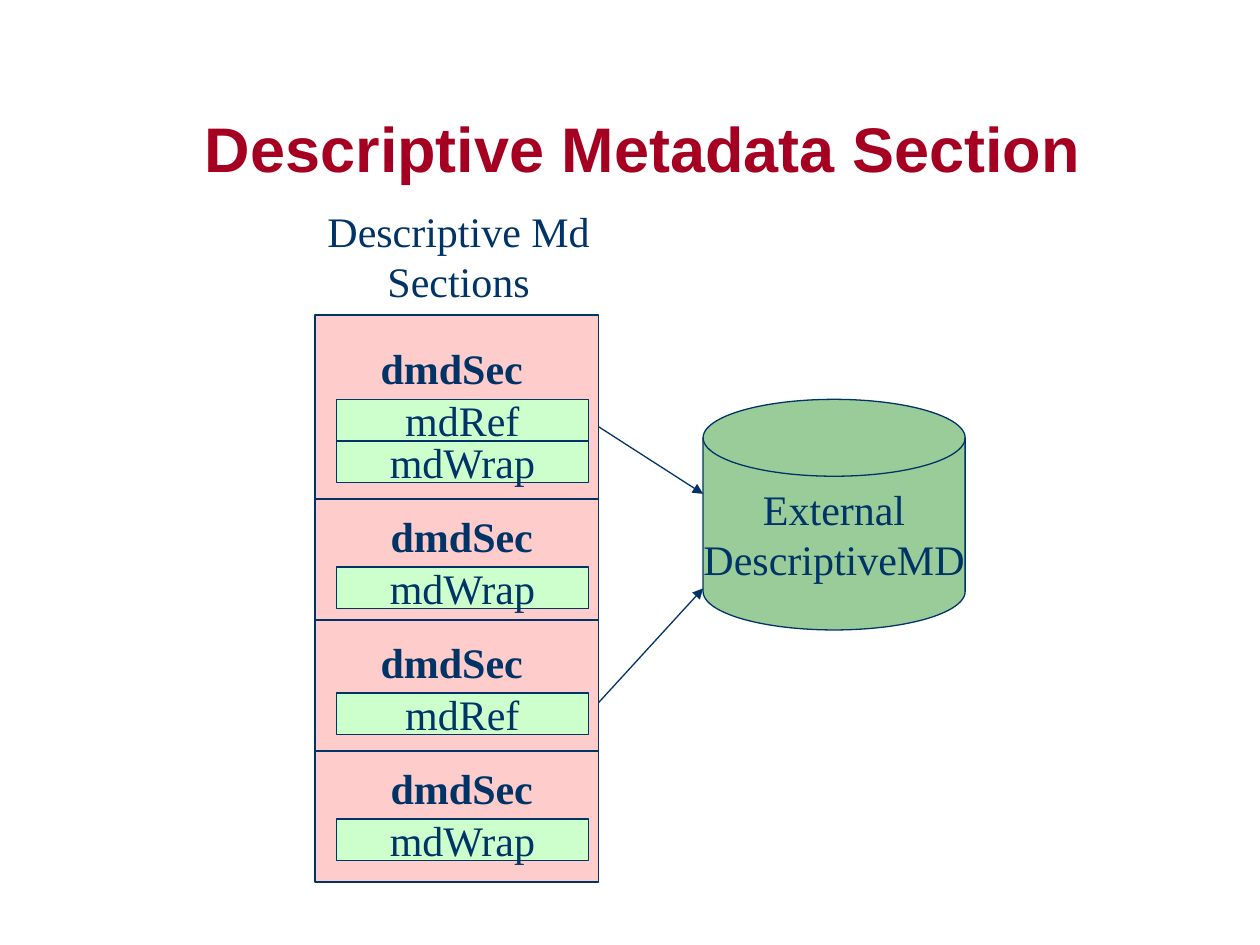
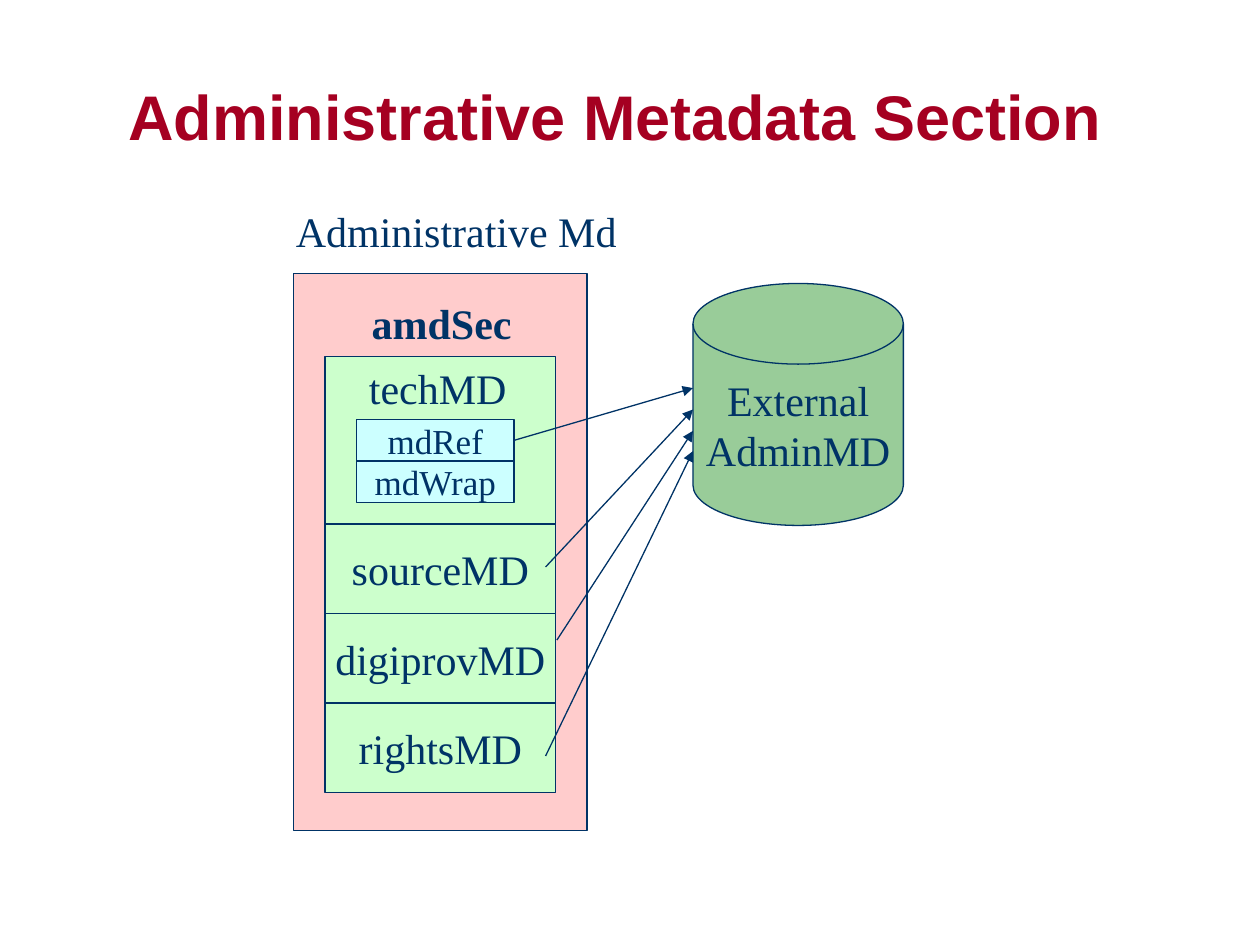
from dataclasses import dataclass

import pptx
import pptx.dml.color
import pptx.enum.shapes
import pptx.enum.text
import pptx.oxml
import pptx.oxml.ns
import pptx.util
from pptx.util import Inches

NAVY = "003366"
CRIMSON = "A50021"
PINK = "FFCCCC"
MINT = "CCFFCC"
AQUA = "CCFFFF"
GREEN = "99CC99"
SERIF = "Times New Roman"
SANS = "Arial"
LINE_WIDTH = 0.75
ENTRY_HEIGHT = 0.33

ALIGN = pptx.enum.text.PP_ALIGN
ANCHOR = pptx.enum.text.MSO_ANCHOR
SHAPE = pptx.enum.shapes.MSO_SHAPE
RIGHT_SIDE = 3


@dataclass
class Box:
    left: float
    top: float
    width: float
    height: float

    def lengths(self):
        return [Inches(v) for v in (self.left, self.top, self.width, self.height)]


@dataclass
class Style:
    size: int = 24
    font: str = SERIF
    color: str = NAVY
    bold: bool = False
    align: ALIGN = ALIGN.CENTER
    anchor: ANCHOR = ANCHOR.TOP
    wrap: bool = True
    line_spacing: float = 1.0


@dataclass
class Section:
    panel_top: float
    panel_height: float
    label_left: float
    label_top: float
    entries: list[str]


@dataclass
class Arrow:
    x1: float
    y1: float
    x2: float
    y2: float


HEADING = Style(bold=True)
LEFT_LABEL = Style(align=ALIGN.LEFT)
INSIDE = Style(anchor=ANCHOR.MIDDLE, wrap=False)
SMALL = Style(size=20, anchor=ANCHOR.MIDDLE, wrap=False)

SECTIONS = [
    Section(2.5, 1.46, 2.67, 2.67, ["mdRef", "mdWrap"]),
    Section(3.96, 1.04, 2.75, 4, ["mdWrap"]),
    Section(4.92, 1.04, 2.67, 5, ["mdRef"]),
    Section(5.96, 1.04, 2.75, 6, ["mdWrap"]),
]

ADMIN_ARROWS = [
    Arrow(4.33, 6, 5.5, 3.58),
    Arrow(4.42, 5.08, 5.5, 3.42),
    Arrow(4.33, 4.5, 5.5, 3.25),
]


def rgb(value: str) -> pptx.dml.color.RGBColor:
    return pptx.dml.color.RGBColor.from_string(value)


def set_text(sp, text: str, style: Style) -> None:
    tf = sp.text_frame
    tf.text = text
    tf.word_wrap = style.wrap
    tf.vertical_anchor = style.anchor
    for p in tf.paragraphs:
        p.alignment = style.align
        p.line_spacing = style.line_spacing
        for r in p.runs:
            r.font.name = style.font
            r.font.size = pptx.util.Pt(style.size)
            r.font.bold = style.bold
            r.font.color.rgb = rgb(style.color)


def add_label(s, box: Box, text: str, style: Style):
    sp = s.shapes.add_textbox(*box.lengths())
    set_text(sp, text, style)
    return sp


def add_block(s, box: Box, fill: str, text: str = "", style: Style = INSIDE,
              kind: SHAPE = SHAPE.RECTANGLE):
    sp = s.shapes.add_shape(kind, *box.lengths())
    sp.shadow.inherit = False
    sp.fill.solid()
    sp.fill.fore_color.rgb = rgb(fill)
    sp.line.color.rgb = rgb(NAVY)
    sp.line.width = pptx.util.Pt(LINE_WIDTH)
    if text:
        set_text(sp, text, style)
    return sp


def add_stack(s, box: Box, fill: str, texts: list[str], style: Style = INSIDE) -> list:
    return [
        add_block(s, Box(box.left, box.top + i * box.height, box.width, box.height), fill, text, style)
        for i, text in enumerate(texts)
    ]


def add_store(s, box: Box, text: str):
    return add_block(s, box, GREEN, text, kind=SHAPE.FLOWCHART_MAGNETIC_DISK)


def add_arrow(s, arrow: Arrow):
    cx = s.shapes.add_connector(
        pptx.enum.shapes.MSO_CONNECTOR.STRAIGHT,
        *[Inches(v) for v in (arrow.x1, arrow.y1, arrow.x2, arrow.y2)],
    )
    cx.line.color.rgb = rgb(NAVY)
    cx.line.width = pptx.util.Pt(LINE_WIDTH)
    tail = pptx.oxml.parse_xml(f'<a:tailEnd {pptx.oxml.ns.nsdecls("a")} type="triangle"/>')
    cx.line._get_or_add_ln().append(tail)
    cx._element.spPr.append(pptx.oxml.parse_xml(f'<a:effectLst {pptx.oxml.ns.nsdecls("a")}/>'))
    return cx


def add_slide(prs, title: str, title_top: float, align: ALIGN):
    s = prs.slides.add_slide(prs.slide_layouts[6])
    style = Style(36, SANS, CRIMSON, True, align, ANCHOR.MIDDLE, line_spacing=0.9)
    add_label(s, Box(0.92, title_top, 8.5, 1.25), title, style)
    return s


def add_section(s, section: Section) -> list:
    add_block(s, Box(2.5, section.panel_top, 2.25, section.panel_height), PINK)
    add_label(s, Box(section.label_left, section.label_top, 1.83, 0.5), "dmdSec", HEADING)
    entries = Box(2.67, section.label_top + 0.5, 2, ENTRY_HEIGHT)
    return add_stack(s, entries, MINT, section.entries)


def build_descriptive(prs) -> None:
    s = add_slide(prs, "Descriptive Metadata Section ", 0.58, ALIGN.CENTER)
    add_label(s, Box(2.5, 1.58, 2.28, 0.9), "Descriptive Md\nSections", Style(wrap=False))
    add_store(s, Box(5.58, 3.17, 2.08, 1.83), "External\nDescriptiveMD")
    upper = add_arrow(s, Arrow(4.67, 3.33, 5.58, 3.92))
    lower = add_arrow(s, Arrow(4.67, 5.67, 5.58, 4.67))
    entries = [add_section(s, section) for section in SECTIONS]
    upper.begin_connect(entries[0][0], RIGHT_SIDE)
    lower.begin_connect(entries[2][0], RIGHT_SIDE)


def build_administrative(prs) -> None:
    s = add_slide(prs, "Administrative Metadata Section", 0.33, ALIGN.LEFT)
    add_block(s, Box(2.33, 2.17, 2.33, 4.42), PINK)
    add_label(s, Box(2.42, 2.31, 2.17, 0.5), "amdSec", HEADING)
    add_block(s, Box(2.58, 2.83, 1.83, 1.33), MINT)
    add_stack(s, Box(2.58, 4.16, 1.83, 0.71), MINT, ["sourceMD", "digiprovMD", "rightsMD"])
    add_label(s, Box(2.25, 1.58, 2.9, 0.5), "Administrative Md", LEFT_LABEL)
    add_store(s, Box(5.5, 2.25, 1.67, 1.92), "External\nAdminMD")
    for arrow in ADMIN_ARROWS:
        add_arrow(s, arrow)
    add_label(s, Box(2.83, 2.83, 1.42, 0.5), "techMD", LEFT_LABEL)
    entries = add_stack(s, Box(2.83, 3.33, 1.25, ENTRY_HEIGHT), AQUA, ["mdRef", "mdWrap"], SMALL)
    add_arrow(s, Arrow(4.08, 3.5, 5.5, 3.08)).begin_connect(entries[0], RIGHT_SIDE)


def main() -> None:
    prs = pptx.Presentation()
    prs.slide_width = Inches(10)
    prs.slide_height = Inches(7.5)
    build_descriptive(prs)
    build_administrative(prs)
    prs.save("out.pptx")


if __name__ == "__main__":
    main()
